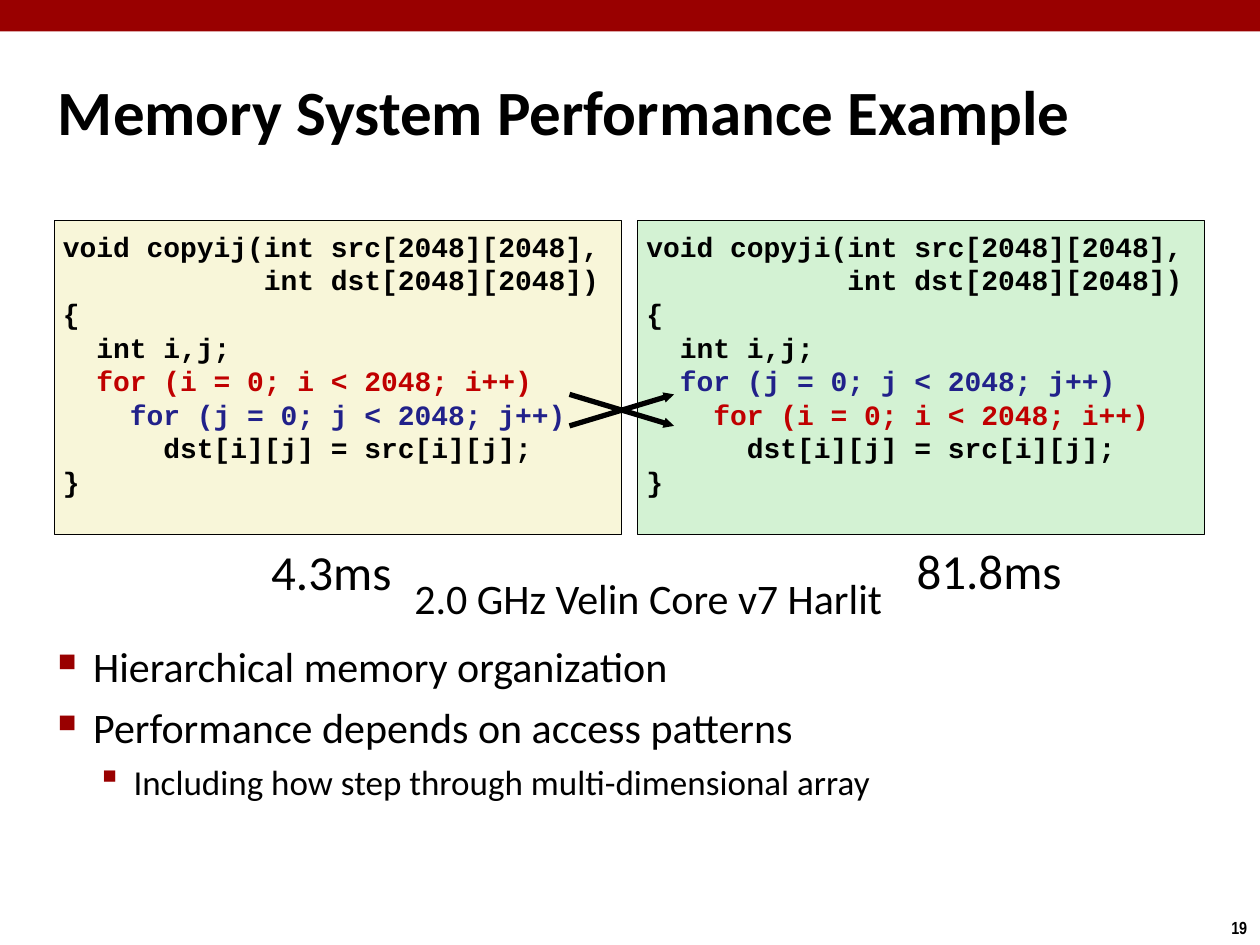
from lxml.etree import SubElement
from pptx import Presentation
from pptx.dml.color import RGBColor
from pptx.enum.shapes import MSO_CONNECTOR, MSO_SHAPE
from pptx.enum.text import MSO_ANCHOR, PP_ALIGN
from pptx.oxml.ns import qn
from pptx.util import Inches, Pt

THEME = {
    "sans": "Calibri", "code": "Courier New", "narrow": "Arial Narrow",
    "marks": "Wingdings",
    "ink": "000000", "accent": "990000", "i": "C00000", "j": "21218A",
    "title_size": 36, "time_size": 28, "body_size": 24, "sub_size": 20,
    "code_size": 16, "code_pitch": 19.2, "number_size": 10,
}

TITLE = "Memory System Performance Example"
PAGE_NUMBER = "19"
# function name, order of the loops, panel colour
FUNCTIONS = [("copyij", "ij", "F8F6D9"), ("copyji", "ji", "D3F2D3")]
# text, size, left, top, width, height
LABELS = [
    ("4.3ms", THEME["time_size"], 1.98, 4.26, 1.3, 0.55),
    ("81.8ms", THEME["time_size"], 7.15, 4.25, 1.4, 0.55),
    ("2.0 GHz Velin Core v7 Harlit", THEME["body_size"], 2.86, 4.5, 4.57, 0.48),
]
BULLETS = [
    (0, "Hierarchical memory organization"),
    (0, "Performance depends on access patterns"),
    (1, "Including how step through multi-dimensional array"),
]
# per level: left margin, hanging indent, square in the marks font, mark size in %,
# text size, space before
LEVELS = [
    (0.28, 0.28, "n", 60, THEME["body_size"], 6),
    (0.6, 0.26, "§", 110, THEME["sub_size"], 5),
]

PANEL_LEFT, PANEL_TOP, PANEL_STEP = 0.43, 1.75, 4.63
PANEL_WIDTH, PANEL_HEIGHT = 4.5, 2.49
ARROW_LEFT, ARROW_RIGHT = 4.52, 5.35
LOOP_LEVELS = (3.13, 3.38)


def rgb(name):
    return RGBColor.from_string(THEME.get(name, name))


def style(font, size, face="sans", color="ink", bold=False):
    values = {"size": Pt(size), "name": THEME[face], "bold": bold}
    for key, value in values.items():
        setattr(font, key, value)
    font.color.rgb = rgb(color)


def set_frame(frame, inset, wrap, anchor=MSO_ANCHOR.TOP):
    values = {f"margin_{side}": Inches(inset) for side in ("left", "top", "right", "bottom")}
    values.update(word_wrap=wrap, vertical_anchor=anchor)
    for key, value in values.items():
        setattr(frame, key, value)


def add_box(slide, box, inset=0.04, wrap=True, anchor=MSO_ANCHOR.TOP):
    frame = slide.shapes.add_textbox(*map(Inches, box)).text_frame
    set_frame(frame, inset, wrap, anchor)
    return frame


def add_line_of_text(slide, text, box, size, align=PP_ALIGN.CENTER,
                     anchor=MSO_ANCHOR.TOP, **look):
    frame = add_box(slide, box, wrap=False, anchor=anchor)
    paragraph = frame.paragraphs[0]
    paragraph.text, paragraph.alignment = text, align
    style(paragraph.runs[0].font, size, **look)


def add_rectangle(slide, box, fill, line=None):
    shape = slide.shapes.add_shape(MSO_SHAPE.RECTANGLE, *map(Inches, box))
    shape.shadow.inherit = False
    shape.fill.solid()
    shape.fill.fore_color.rgb = rgb(fill)
    if line:
        shape.line.color.rgb = rgb(line)
        shape.line.width = Pt(0.5)
    else:
        shape.line.fill.background()
    return shape


def next_paragraph(frame, index):
    return frame.add_paragraph() if index else frame.paragraphs[0]


def code_lines(name, order):
    """Return (text, colour) pairs for a copy function with its loops in this order."""
    head = f"void {name}("
    loops = [("  " * depth + f"for ({v} = 0; {v} < 2048; {v}++)", v)
             for depth, v in enumerate(order, 1)]
    return [
        (head + "int src[2048][2048],", "ink"),
        (" " * len(head) + "int dst[2048][2048])", "ink"),
        ("{", "ink"),
        ("  int i,j;", "ink"),
        *loops,
        ("      dst[i][j] = src[i][j];", "ink"),
        ("}", "ink"),
    ]


def add_code_panel(slide, column, name, order, fill):
    box = (PANEL_LEFT + column * PANEL_STEP, PANEL_TOP, PANEL_WIDTH, PANEL_HEIGHT)
    frame = add_rectangle(slide, box, fill, "ink").text_frame
    set_frame(frame, 0.07, True)
    for index, (text, color) in enumerate(code_lines(name, order)):
        paragraph = next_paragraph(frame, index)
        paragraph.text, paragraph.alignment = text, PP_ALIGN.LEFT
        paragraph.line_spacing = Pt(THEME["code_pitch"])
        style(paragraph.runs[0].font, THEME["code_size"], "code", color, True)


def add_arrow(slide, start_y, end_y):
    arrow = slide.shapes.add_connector(
        MSO_CONNECTOR.STRAIGHT,
        *map(Inches, (ARROW_LEFT, start_y, ARROW_RIGHT, end_y)))
    arrow.line.color.rgb = rgb("ink")
    arrow.line.width = Pt(3)
    SubElement(arrow.line._get_or_add_ln(), qn("a:tailEnd"),
               type="triangle", w="sm", len="sm")
    SubElement(arrow._element.spPr, qn("a:effectLst"))


def add_bullets(slide):
    frame = add_box(slide, (0.42, 5.04, 9.17, 2.43))
    for index, (level, text) in enumerate(BULLETS):
        margin, hang, mark, mark_size, size, before = LEVELS[level]
        paragraph = next_paragraph(frame, index)
        paragraph.text, paragraph.level = text, level
        if index:
            paragraph.space_before = Pt(before)
        props = paragraph._p.get_or_add_pPr()
        props.set("marL", str(Inches(margin)))
        props.set("indent", str(-Inches(hang)))
        color = SubElement(props, qn("a:buClr"))
        SubElement(color, qn("a:srgbClr"), val=THEME["accent"])
        SubElement(props, qn("a:buSzPct"), val=str(mark_size * 1000))
        SubElement(props, qn("a:buFont"), typeface=THEME["marks"], charset="2")
        SubElement(props, qn("a:buChar"), char=mark)
        style(paragraph.runs[0].font, size)


def main():
    deck = Presentation()
    deck.slide_width, deck.slide_height = Inches(10), Inches(7.5)
    slide = deck.slides.add_slide(deck.slide_layouts[6])

    add_line_of_text(slide, PAGE_NUMBER, (9.46, 7.24, 0.75, 0.25),
                     THEME["number_size"], face="narrow", bold=True)
    add_rectangle(slide, (0, 0, 10, 0.25), "accent")
    add_line_of_text(slide, TITLE, (0.42, 0.28, 9.17, 1.19), THEME["title_size"],
                     PP_ALIGN.LEFT, MSO_ANCHOR.MIDDLE, bold=True)
    add_bullets(slide)
    for column, function in enumerate(FUNCTIONS):
        add_code_panel(slide, column, *function)
    upper, lower = LOOP_LEVELS
    add_arrow(slide, upper, lower)
    add_arrow(slide, lower, upper)
    for text, size, *box in LABELS:
        add_line_of_text(slide, text, box, size)
    deck.save("out.pptx")


if __name__ == "__main__":
    main()
